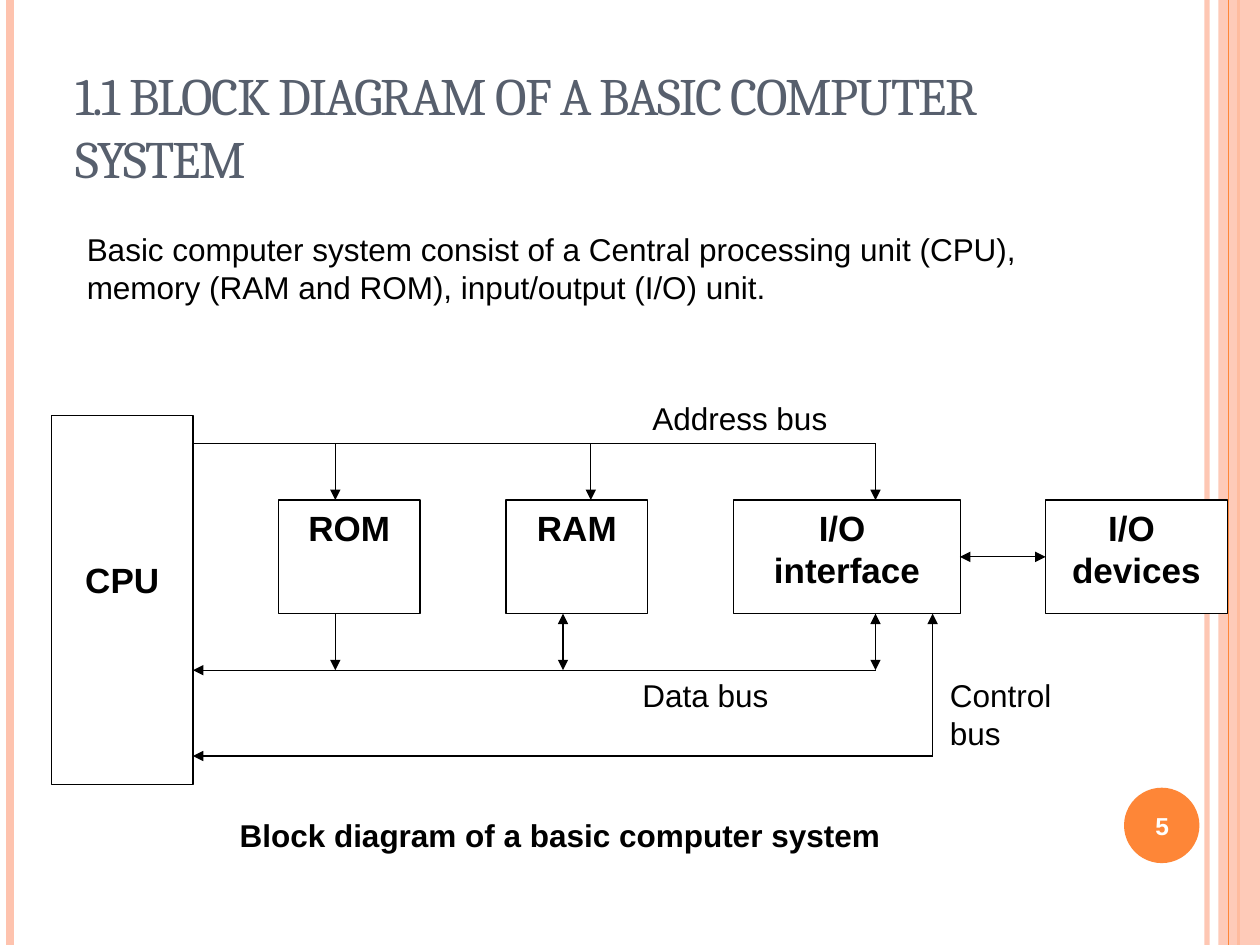
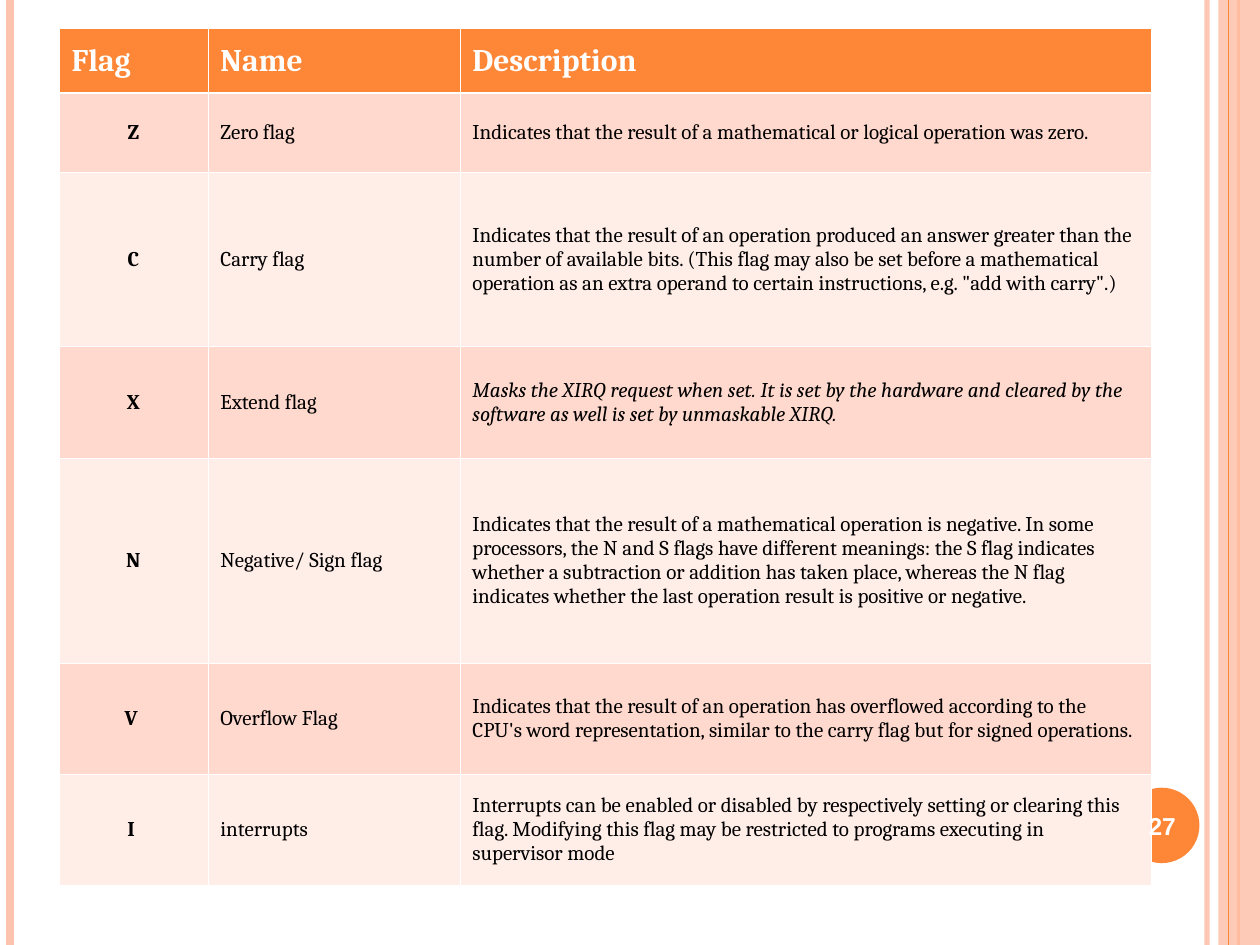
from pptx import Presentation
from pptx.dml.color import RGBColor
from pptx.enum.shapes import MSO_CONNECTOR, MSO_SHAPE
from pptx.enum.text import MSO_ANCHOR, PP_ALIGN
from pptx.oxml.ns import qn
from pptx.util import Cm, Pt
from lxml import etree

STRAIGHT = MSO_CONNECTOR.STRAIGHT
RECTANGLE, PROCESS, OVAL = MSO_SHAPE.RECTANGLE, MSO_SHAPE.FLOWCHART_PROCESS, MSO_SHAPE.OVAL
TOP, MIDDLE, BOTTOM = MSO_ANCHOR.TOP, MSO_ANCHOR.MIDDLE, MSO_ANCHOR.BOTTOM
LEFT, CENTER = PP_ALIGN.LEFT, PP_ALIGN.CENTER

WIDTH, HEIGHT = 25.4, 19.05
ORANGE, PEACH, SLATE = "FE8637", "FEC3AE", "575F6D"
BLACK, WHITE = "000000", "FFFFFF"
ROW_TINTS = ("FFD9CE", "FFEDE8")

TITLE = {"name": "Cambria", "size": Pt(30), "bold": False, "color": SLATE}
BODY = {"name": "Arial", "size": Pt(18), "bold": False, "color": BLACK}
CAPTION = {**BODY, "bold": True}
BLOCK = {**CAPTION, "size": Pt(20)}
PAGE_NUMBER = {**CAPTION, "size": Pt(14), "color": WHITE}
HEADER = {"name": "Cambria", "size": Pt(18), "bold": True, "color": WHITE}
CELL = {"name": "Cambria", "size": Pt(12), "bold": False, "color": BLACK}

EDGE_BANDS = [
    (24.33, PEACH, 3, 93),
    (0.2, PEACH, 4.5, 100),
    (24.97, ORANGE, 1.5, 100),
    (24.77, ORANGE, 0.75, 100),
]

CPU_RIGHT = 3.89
BLOCK_TOP, BLOCK_HEIGHT = 10.08, 2.29
BLOCK_BOTTOM = BLOCK_TOP + BLOCK_HEIGHT
ADDRESS_Y, DATA_Y, CONTROL_Y = 8.94, 13.51, 15.24
ROM_X, IO_X, CONTROL_X = 6.76, 17.65, 18.8
IO_RIGHT, DEVICES_LEFT = 19.35, 21.08
LINK_Y = BLOCK_TOP + BLOCK_HEIGHT / 2

BLOCKS = [
    (5.61, 2.86, ["ROM"]),
    (10.2, 2.86, ["RAM"]),
    (14.79, 4.57, ["I/O ", "interface"]),
    (DEVICES_LEFT, 3.66, ["I/O ", "devices"]),
]

BUSES = [
    (CPU_RIGHT, ADDRESS_Y, IO_X, ADDRESS_Y, ""),
    (IO_X, DATA_Y, CPU_RIGHT, DATA_Y, "end"),
    (CONTROL_X, CONTROL_Y, CPU_RIGHT, CONTROL_Y, "end"),
    (CONTROL_X, CONTROL_Y, CONTROL_X, BLOCK_BOTTOM, "end"),
    (IO_RIGHT, LINK_Y, DEVICES_LEFT, LINK_Y, "both"),
]
ADDRESS_TAPS = [ROM_X, 11.91, IO_X]
DATA_TAPS = [(ROM_X, "end"), (11.35, "both"), (IO_X, "both")]

LABELS = [
    (1.5, 4.52, 20.19, 1.78, "Basic computer system consist of a Central processing unit (CPU), "
     "memory (RAM and ROM), input/output (I/O) unit.", BODY, LEFT),
    (1.09, 16.33, 20.4, 1.02, "Block diagram of a basic computer system", CAPTION, CENTER),
    (12.9, 7.92, 4.19, 1.02, "Address bus", BODY, LEFT),
    (12.7, 13.51, 4.19, 1.02, "Data bus", BODY, LEFT),
    (18.9, 13.51, 2.79, 1.78, "Control bus", BODY, LEFT),
]

COLUMN_WIDTHS = [3, 5.08, 13.94]
ROW_HEIGHTS = [1.3, 1.6, 3.51, 2.24, 4.14, 2.24, 2.24]
FLAGS = [
    ("Flag", "Name", "Description"),
    ("Z", "Zero flag",
     "Indicates that the result of a mathematical or logical operation was zero."),
    ("C", "Carry flag",
     "Indicates that the result of an operation produced an answer greater than the number of "
     "available bits. (This flag may also be set before a mathematical operation as an extra "
     "operand to certain instructions, e.g. \"add with carry\".)"),
    ("X", "Extend flag",
     "Masks the XIRQ request when set. It is set by the hardware and cleared by the software "
     "as well is set by unmaskable XIRQ."),
    ("N", "Negative/ Sign flag",
     "Indicates that the result of a mathematical operation is negative. In some processors, "
     "the N and S flags have different meanings: the S flag indicates whether a subtraction or "
     "addition has taken place, whereas the N flag indicates whether the last operation result "
     "is positive or negative."),
    ("V ", "Overflow Flag",
     "Indicates that the result of an operation has overflowed according to the CPU's word "
     "representation, similar to the carry flag but for signed operations."),
    ("I ", "interrupts",
     "Interrupts can be enabled or disabled by respectively setting or clearing this flag. "
     "Modifying this flag may be restricted to programs executing in supervisor mode"),
]


def rgb(value):
    return RGBColor.from_string(value)


def paint(fill, color):
    fill.solid()
    fill.fore_color.rgb = rgb(color)


def set_alpha(properties, percent):
    color = next(properties.iter(qn("a:srgbClr")))
    etree.SubElement(color, qn("a:alpha"), val=str(percent * 1000))


def write(frame, lines, style, align=LEFT, anchor=TOP):
    frame.word_wrap = True
    frame.vertical_anchor = anchor
    for index, line in enumerate(lines):
        paragraph = frame.add_paragraph() if index else frame.paragraphs[0]
        paragraph.alignment = align
        run = paragraph.add_run()
        run.text = line
        for attribute, value in style.items():
            if attribute == "color":
                run.font.color.rgb = rgb(value)
            else:
                setattr(run.font, attribute, value)


def add_label(slide, left, top, width, height, text, style, align, anchor=TOP):
    label = slide.shapes.add_textbox(Cm(left), Cm(top), Cm(width), Cm(height))
    write(label.text_frame, [text], style, align, anchor)


def add_filled(slide, kind, left, top, width, height, color):
    shape = slide.shapes.add_shape(kind, Cm(left), Cm(top), Cm(width), Cm(height))
    shape.shadow.inherit = False
    paint(shape.fill, color)
    shape.line.fill.background()
    return shape


def add_block(slide, kind, left, top, width, height, lines):
    block = add_filled(slide, kind, left, top, width, height, WHITE)
    paint(block.line.fill, BLACK)
    block.line.width = Pt(0.75)
    write(block.text_frame, lines, BLOCK, CENTER)
    return block


def add_line(slide, x1, y1, x2, y2, color=BLACK, width=0.75, arrows=""):
    line = slide.shapes.add_connector(STRAIGHT, Cm(x1), Cm(y1), Cm(x2), Cm(y2))
    line.line.color.rgb = rgb(color)
    line.line.width = Pt(width)
    properties = line._element.spPr
    outline = properties.find(qn("a:ln"))
    if arrows == "both":
        etree.SubElement(outline, qn("a:headEnd"), type="triangle")
    if arrows:
        etree.SubElement(outline, qn("a:tailEnd"), type="triangle")
    etree.SubElement(properties, qn("a:effectLst"))
    return line


def add_edges(slide):
    for x, color, width, opacity in EDGE_BANDS:
        band = add_line(slide, x, 0, x, HEIGHT, color, width)
        if opacity < 100:
            set_alpha(band._element.spPr, opacity)
        if color == ORANGE and width == 1.5:
            margin = add_filled(slide, RECTANGLE, 24.56, 0, WIDTH - 24.56, HEIGHT, PEACH)
            set_alpha(margin._element.spPr, 87)
    add_filled(slide, OVAL, 22.66, 15.88, 1.52, 1.52, ORANGE)


def add_page_number(slide, number):
    add_label(slide, 22.58, 15.93, 1.7, 1.45, str(number), PAGE_NUMBER, CENTER, MIDDLE)


def set_title(slide, text):
    title = slide.shapes.title
    place = {"left": 1.27, "top": 0.76, "width": 20.75, "height": 3.18}
    for attribute, value in place.items():
        setattr(title, attribute, Cm(value))
    write(title.text_frame, [text], TITLE, LEFT, BOTTOM)
    title.text_frame.paragraphs[0].runs[0]._r.get_or_add_rPr().set("spc", "-100")


def set_borders(cell, widths):
    properties = cell._tc.get_or_add_tcPr()
    for position, (side, width) in enumerate(widths.items()):
        border = etree.Element(qn(f"a:{side}"), w=str(Pt(width)))
        fill = etree.SubElement(border, qn("a:solidFill"))
        etree.SubElement(fill, qn("a:srgbClr"), val=WHITE)
        properties.insert(position, border)


def add_flag_table(slide):
    table = slide.shapes.add_table(
        len(FLAGS), len(COLUMN_WIDTHS), Cm(1.19), Cm(0.58),
        Cm(sum(COLUMN_WIDTHS)), Cm(sum(ROW_HEIGHTS))).table
    for column, width in zip(table.columns, COLUMN_WIDTHS):
        column.width = Cm(width)
    for r, (flag, height) in enumerate(zip(FLAGS, ROW_HEIGHTS)):
        table.rows[r].height = Cm(height)
        for c, text in enumerate(flag):
            cell = table.cell(r, c)
            paint(cell.fill, ROW_TINTS[(r - 1) % 2] if r else ORANGE)
            set_borders(cell, {"lnL": 0.45, "lnR": 0.45,
                               "lnT": 1.47 if r == 1 else 0.45,
                               "lnB": 0.45 if r else 1.47})
            is_symbol = r > 0 and c == 0
            style = {**CELL, "bold": is_symbol,
                     "italic": flag[0] == "X" and c == 2} if r else HEADER
            write(cell.text_frame, [text], style, CENTER if is_symbol else LEFT)
            cell.vertical_anchor = MIDDLE


def build_block_diagram(deck):
    slide = deck.slides.add_slide(deck.slide_layouts[5])
    add_edges(slide)
    set_title(slide, "1.1 BLOCK DIAGRAM OF A BASIC COMPUTER SYSTEM")
    for left, width, lines in BLOCKS:
        add_block(slide, RECTANGLE, left, BLOCK_TOP, width, BLOCK_HEIGHT, lines)
    cpu = add_block(slide, PROCESS, 1.04, 8.38, CPU_RIGHT - 1.04, 7.44, ["CPU"])
    cpu.text_frame.margin_top = Cm(2.88)
    for x1, y1, x2, y2, arrows in BUSES:
        add_line(slide, x1, y1, x2, y2, arrows=arrows)
    for x in ADDRESS_TAPS:
        add_line(slide, x, ADDRESS_Y, x, BLOCK_TOP, arrows="end")
    for x, arrows in DATA_TAPS:
        add_line(slide, x, BLOCK_BOTTOM, x, DATA_Y, arrows=arrows)
    for label in LABELS:
        add_label(slide, *label)
    add_page_number(slide, 5)


def build_flag_register(deck):
    slide = deck.slides.add_slide(deck.slide_layouts[6])
    add_edges(slide)
    add_flag_table(slide)
    add_page_number(slide, 27)


def main():
    deck = Presentation()
    deck.slide_width, deck.slide_height = Cm(WIDTH), Cm(HEIGHT)
    build_block_diagram(deck)
    build_flag_register(deck)
    deck.save("out.pptx")


if __name__ == "__main__":
    main()
